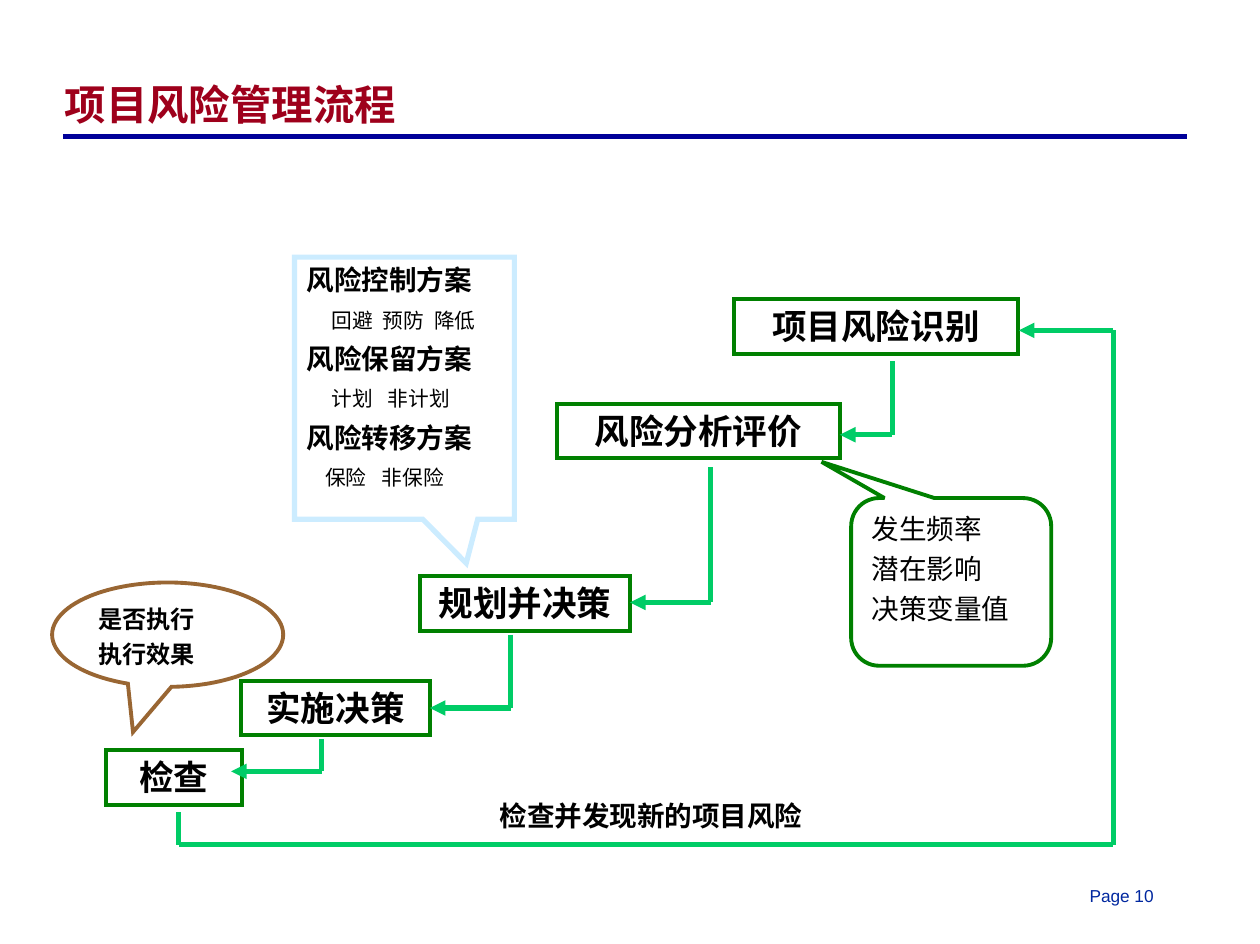
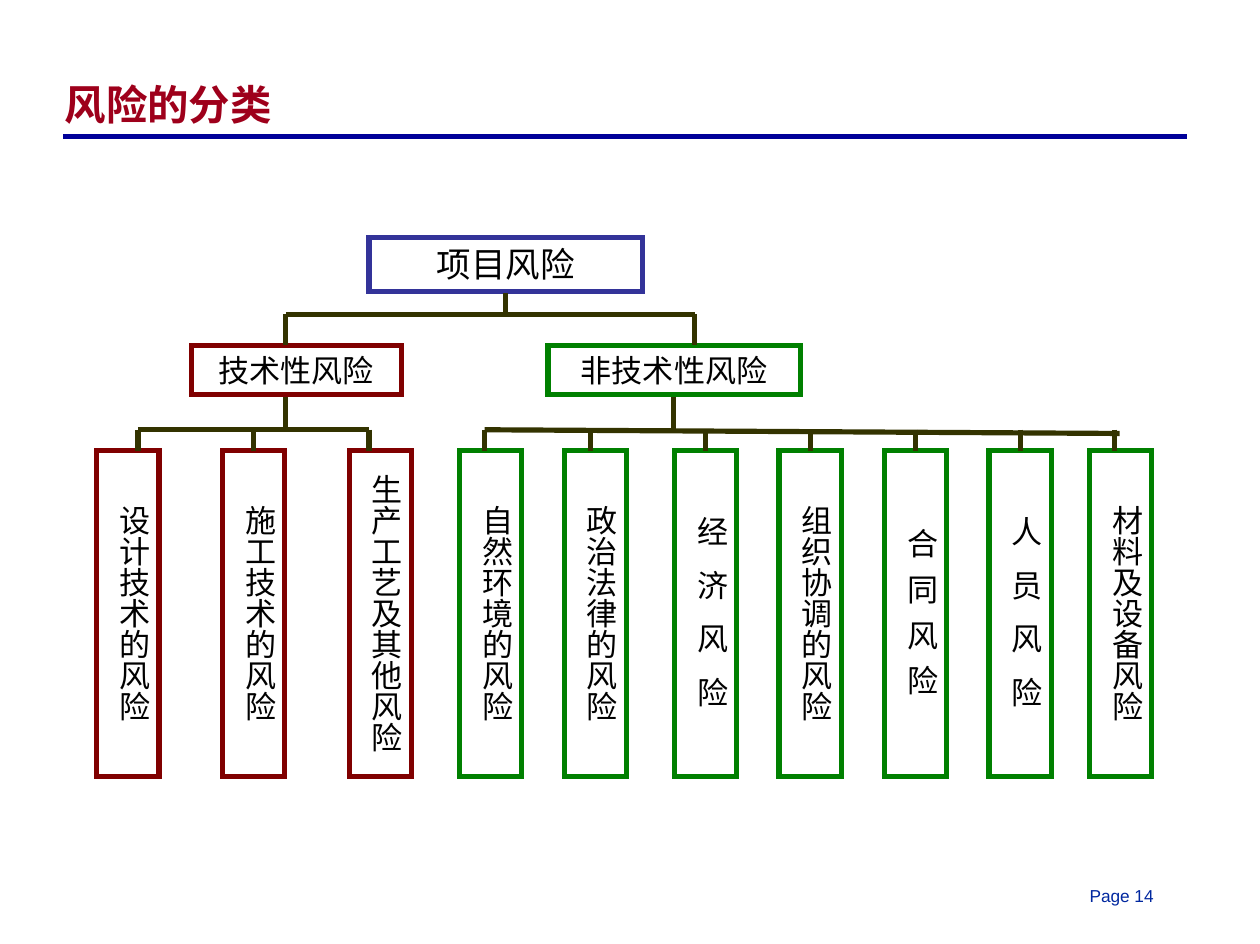
"""Build two slides on project risk: the management process and the risk classes."""
from itertools import pairwise

from lxml import etree
from pptx import Presentation
from pptx import util as u
from pptx.dml.color import RGBColor
from pptx.enum import shapes, text
from pptx.oxml.ns import qn

NAVY, CRIMSON, PAGE_BLUE = "000099", "9E001B", "00279F"
GREEN, MAROON, INDIGO = "008000", "800000", "333399"
ARROW_GREEN, OLIVE, SKY, BROWN, BLACK = "00CC66", "333300", "CCECFF", "996633", "000000"
BODY, HEAD = "Times New Roman", "Arial"
RECT = shapes.MSO_SHAPE.RECTANGLE
LEFT, CENTER = text.PP_ALIGN.LEFT, text.PP_ALIGN.CENTER

STEP_H = 0.44
STEPS = [
    ("项目风险识别", 5.91, 2.41, 2.28),
    ("风险分析评价", 4.48, 3.25, 2.28),
    ("规划并决策", 3.38, 4.64, 1.69),
    ("实施决策", 1.94, 5.48, 1.52),
    ("检查", 0.85, 6.04, 1.1),
]
ROUTES = [
    [(7.18, 2.91), (7.18, 3.5), (6.76, 3.5)],
    [(5.72, 3.76), (5.72, 4.85), (5.07, 4.85)],
    [(4.11, 5.11), (4.11, 5.7), (3.46, 5.7)],
    [(2.59, 5.95), (2.59, 6.21), (1.86, 6.21)],
    [(1.44, 6.54), (1.44, 6.8), (8.96, 6.8), (8.96, 2.66), (8.2, 2.66)],
]
PLANS = [
    ("风险控制方案", "回避 预防 降低", 0.2, 1),
    ("风险保留方案", "计划 非计划", 0.2, 2),
    ("风险转移方案", "保险 非保险", 0.15, 2),
]
FACTORS = ["发生频率", "潜在影响", "决策变量值"]
CHECKS = ["是否执行", "执行效果"]

LEAF_TOP, LEAF_W, LEAF_H, LEAF_SIZE, BAR_Y = 3.63, 0.5, 2.62, 18, 3.46
CLASSES = [
    ("项目风险", (2.97, 1.91, 2.2, 0.44), INDIGO, 20),
    ("技术性风险", (1.54, 2.78, 1.69, 0.4), MAROON, 18),
    ("非技术性风险", (4.41, 2.78, 2.03, 0.4), GREEN, 18),
]
LEAVES = [
    ("设计技术的风险", 0.78, 1.11, MAROON, 0),
    ("施工技术的风险", 1.79, 2.04, MAROON, 0),
    ("生产工艺及其他风险", 2.81, 2.97, MAROON, 0),
    ("自然环境的风险", 3.7, 3.9, GREEN, 0),
    ("政治法律的风险", 4.54, 4.75, GREEN, 0),
    ("经 济 风 险", 5.43, 5.68, GREEN, 2),
    ("组织协调的风险", 6.27, 6.52, GREEN, 0),
    ("合 同 风 险", 7.12, 7.37, GREEN, 1),
    ("人 员 风 险", 7.96, 8.21, GREEN, 2),
    ("材料及设备风险", 8.77, 8.97, GREEN, 0),
]
BRANCHES = [
    [(4.07, 2.36), (4.07, 2.53)],
    [(2.3, 2.78), (2.3, 2.53), (5.59, 2.53), (5.59, 2.78)],
    [(2.3, 3.2), (2.3, BAR_Y)],
    [(5.42, 3.2), (5.42, BAR_Y)],
    [(1.11, BAR_Y), (2.97, BAR_Y)],
    [(3.9, BAR_Y), (9.01, 3.49)],
]


def rgb(value):
    return RGBColor.from_string(value)


def inches(values):
    return [u.Inches(v) for v in values]


def format_par(p, size, bold=False, align=LEFT, before=0, color=BLACK, font=BODY):
    p.alignment, p.space_before = align, u.Pt(before)
    f = p.font
    f.name, f.size, f.bold = font, u.Pt(size), bold
    f.color.rgb = rgb(color)


def add_words(p, words, size, widen):
    """Write words whose single spaces are widened by a number of space widths."""
    for i, word in enumerate(words.split(" ")):
        if i:
            gap = p.add_run()
            gap.text = " "
            gap.font._element.set("spc", str(int(widen * size * 25)))
        p.add_run().text = word


def write(tf, rows):
    """Fill a frame from (words, widening, indent, format) rows."""
    tf.word_wrap = True
    tf.vertical_anchor = text.MSO_ANCHOR.TOP
    for i, (words, widen, indent, style) in enumerate(rows):
        p = tf.add_paragraph() if i else tf.paragraphs[0]
        format_par(p, **style)
        add_words(p, words, style["size"], widen)
        if indent:
            pr = p._p.get_or_add_pPr()
            pr.set("marL", str(u.Inches(indent)))
            pr.set("indent", "0")


def add_box(s, kind, at, color, width, rows, adjust=()):
    sp = s.shapes.add_shape(kind, *inches(at))
    sp.shadow.inherit = False
    sp.fill.background()
    sp.line.color.rgb = rgb(color)
    sp.line.width = u.Pt(width)
    etree.SubElement(sp.line._get_or_add_ln(), qn("a:miter"), lim="800000")
    for i, value in enumerate(adjust):
        sp.adjustments[i] = value
    write(sp.text_frame, rows)
    return sp


def add_leaf(s, words, left, color, widen):
    """Add a box of vertical text, centred by its top margin."""
    style = dict(size=LEAF_SIZE)
    sp = add_box(s, RECT, (left, LEAF_TOP, LEAF_W, LEAF_H), color, 3,
                 [(words, widen, 0, style)])
    gaps = words.count(" ")
    ems = len(words) - gaps + gaps * (widen + 1) / 4
    tf = sp.text_frame
    tf._txBody.bodyPr.set("vert", "eaVert")
    tf.margin_left = tf.margin_right = u.Inches(0.05)
    tf.margin_top = u.Inches((LEAF_H - ems * LEAF_SIZE / 72) / 2)
    tf.margin_bottom = u.Inches(0.1)


def add_text(s, at, words, **style):
    tf = s.shapes.add_textbox(*inches(at)).text_frame
    write(tf, [(words, 0, 0, style)])


def add_route(s, points, color, arrow=False):
    """Draw straight lines through the points, with an arrowhead at the end if asked."""
    for start, end in pairwise(points):
        c = s.shapes.add_connector(shapes.MSO_CONNECTOR.STRAIGHT, *inches(start + end))
        c.line.color.rgb = rgb(color)
        c.line.width = u.Pt(3)
        if arrow and end == points[-1]:
            etree.SubElement(c.line._get_or_add_ln(), qn("a:tailEnd"), type="triangle")
        etree.SubElement(c._element.spPr, qn("a:effectLst"))


def add_slide(prs, title, page):
    s = prs.slides.add_slide(prs.slide_layouts[5])
    add_route(s, [(0.51, 1.1), (9.55, 1.1)], NAVY)
    add_text(s, (8.67, 7.08, 0.85, 0.27), f"Page {page}", size=10, color=PAGE_BLUE, font=HEAD)
    sp = s.shapes.title
    sp.left, sp.top, sp.width, sp.height = inches((0.42, 0.33, 9.04, 0.76))
    tf = sp.text_frame
    write(tf, [(title, 0, 0, dict(size=24, bold=True, color=CRIMSON, font=HEAD))])
    tf.auto_size = text.MSO_AUTO_SIZE.NONE
    tf.vertical_anchor = text.MSO_ANCHOR.BOTTOM
    tf.paragraphs[0].line_spacing = 0.87
    return s


def build_process(prs):
    s = add_slide(prs, "项目风险管理流程", 10)
    step = dict(size=20, bold=True, align=CENTER)
    for words, left, top, width in STEPS:
        add_box(s, RECT, (left, top, width, STEP_H), GREEN, 2.25, [(words, 0, 0, step)])
    for route in ROUTES:
        add_route(s, route, ARROW_GREEN, arrow=True)
    add_text(s, (3.55, 6.38, 3.38, 0.37), "检查并发现新的项目风险",
             size=16, bold=True, align=CENTER)

    factor = dict(size=16, before=4)
    add_box(s, shapes.MSO_SHAPE.ROUNDED_RECTANGULAR_CALLOUT, (6.85, 4.01, 1.61, 1.35),
            GREEN, 2.25, [(w, 0, 0, factor) for w in FACTORS], (-0.648, -0.716, 0.167))
    plan, option = dict(size=16, bold=True, before=5.5), dict(size=12, before=6.5)
    rows = []
    for name, options, indent, widen in PLANS:
        rows += [(name, 0, 0, plan), (options, widen, indent, option)]
    add_box(s, shapes.MSO_SHAPE.RECTANGULAR_CALLOUT, (2.37, 2.07, 1.77, 2.11),
            SKY, 3, rows, (0.281, 0.668))
    check = dict(size=14, bold=True, before=3.5)
    add_box(s, shapes.MSO_SHAPE.OVAL_CALLOUT, (0.42, 4.69, 1.86, 0.84),
            BROWN, 2.25, [(w, 0, 0, check) for w in CHECKS], (-0.15, 0.933))


def build_classes(prs):
    s = add_slide(prs, "风险的分类", 14)
    for words, at, color, size in CLASSES:
        add_box(s, RECT, at, color, 3, [(words, 0, 0, dict(size=size, align=CENTER))])
    for words, left, stem, color, widen in LEAVES:
        add_leaf(s, words, left, color, widen)
        add_route(s, [(stem, BAR_Y), (stem, LEAF_TOP)], OLIVE)
    for branch in BRANCHES:
        add_route(s, branch, OLIVE)


def main():
    prs = Presentation()
    prs.slide_width, prs.slide_height = inches((10.14, 7.6))
    build_process(prs)
    build_classes(prs)
    prs.save("out.pptx")


if __name__ == "__main__":
    main()
